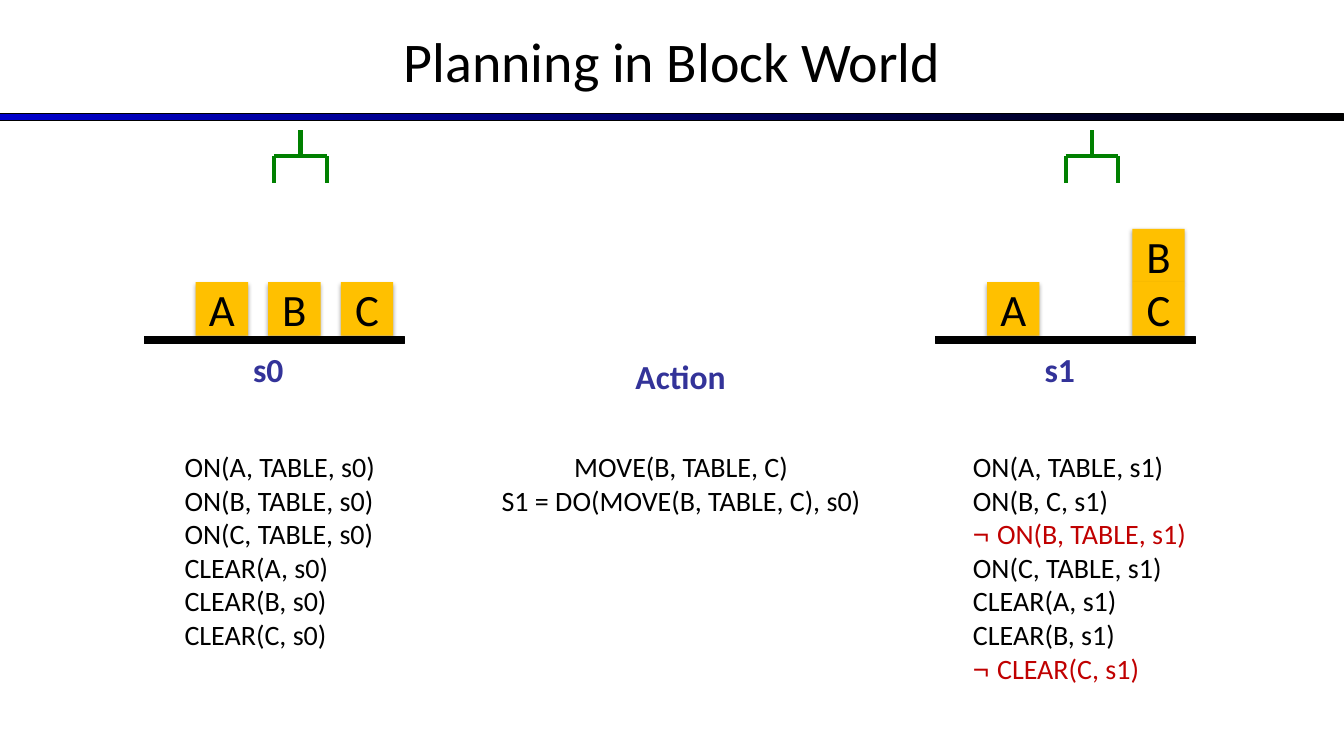
"""Build the block world planning slide with its two states and the action between them."""
from lxml import etree
from pptx import Presentation
from pptx.dml.color import RGBColor as RGB
from pptx.enum.shapes import MSO_CONNECTOR as LINK, MSO_SHAPE as KIND
from pptx.enum.text import MSO_ANCHOR as ANCHOR, PP_ALIGN as ALIGN
from pptx.oxml import parse_xml
from pptx.oxml.ns import nsdecls, qn
from pptx.util import Inches, Pt

BLACK = RGB(0x00, 0x00, 0x00)
BLUE = RGB(0x00, 0x00, 0xCC)
NAVY = RGB(0x33, 0x33, 0x99)
GOLD = RGB(0xFF, 0xC0, 0x00)
GREEN = RGB(0x00, 0x80, 0x00)
RED = RGB(0xC0, 0x00, 0x00)
SHADOW = (
    f'<a:effectLst {nsdecls("a")}><a:outerShdw blurRad="39370" dist="22860" '
    'dir="5400000" rotWithShape="0"><a:srgbClr val="000000">'
    '<a:alpha val="35000"/></a:srgbClr></a:outerShdw></a:effectLst>'
)


def write(shape, lines, size, color=BLACK, align=ALIGN.LEFT, bold=False):
    frame = shape.text_frame
    for i, line in enumerate(lines):
        para = frame.add_paragraph() if i else frame.paragraphs[0]
        para.alignment = align
        font = para.font
        font.name, font.size, font.bold = "Calibri", Pt(size), bold
        font.color.rgb = color
        if line.startswith("¬ "):
            font.color.rgb = RED
            sign = para.add_run()
            sign.text = "¬ "
            sign.font.name = "Arial"
            line = line[2:]
        para.add_run().text = line
    return frame


def box(x, y, w, h):
    shape = slide.shapes.add_textbox(Inches(x), Inches(y), Inches(w), Inches(h))
    shape.text_frame.word_wrap = True
    return shape


deck = Presentation()
deck.slide_width, deck.slide_height = Inches(13.33), Inches(7.5)
slide = deck.slides.add_slide(deck.slide_layouts[6])

rule = slide.shapes.add_shape(KIND.RECTANGLE, 0, Inches(1.13), Inches(13.33), Inches(0.07))
rule.shadow.inherit = False
rule.fill.gradient()
rule.fill.gradient_angle = 0
for stop, color in zip(rule.fill.gradient_stops, (BLUE, BLACK)):
    stop.color.rgb = color
rule.line.color.rgb = BLACK
rule.line.width = Pt(0.75)

title = write(box(0, -0.03, 13.33, 1.25), ["Planning in Block World"], 40, align=ALIGN.CENTER)
title.vertical_anchor = ANCHOR.MIDDLE

SIDE, STEP, FLOOR = 0.53, 0.72, 3.34
states = [
    ("s0", 1.43, [("A", 0, 0), ("B", 1, 0), ("C", 2, 0)]),
    ("s1", 9.28, [("A", 0, 0), ("B", 2, 1), ("C", 2, 0)]),
]
claw = [(1.29, 1.55, 1.81, 1.55), (1.29, 1.55, 1.29, 1.82),
        (1.55, 1.29, 1.55, 1.55), (1.81, 1.55, 1.81, 1.82)]

for name, left, blocks in states:
    scene = slide.shapes.add_group_shape().shapes
    table = scene.add_shape(KIND.RECTANGLE, Inches(left), Inches(FLOOR), Inches(2.58), Inches(0.07))
    table.shadow.inherit = False
    table.fill.solid()
    table.fill.fore_color.rgb = BLACK
    table.line.color.rgb = BLACK
    table.line.width = Pt(0.75)

    for label, col, row in blocks:
        block = scene.add_shape(
            KIND.RECTANGLE, Inches(left + 0.51 + col * STEP),
            Inches(FLOOR - 0.01 - (row + 1) * SIDE), Inches(0.52), Inches(SIDE))
        block.fill.solid()
        block.fill.fore_color.rgb = GOLD
        block.line.fill.background()
        block._element.spPr.append(parse_xml(SHADOW))
        frame = write(block, [label], 32, align=ALIGN.CENTER)
        frame.vertical_anchor = ANCHOR.MIDDLE
        frame.word_wrap = False

    for x1, y1, x2, y2 in claw:
        bar = scene.add_connector(LINK.STRAIGHT, Inches(left + x1), Inches(y1),
                                  Inches(left + x2), Inches(y2))
        bar.line.color.rgb = GREEN
        bar.line.width = Pt(3)
        etree.SubElement(bar._element.spPr, qn("a:effectLst"))

    head = write(box(left, 3.46, 2.58, 0.43), [name], 24, NAVY, bold=True)
    head.margin_left = Inches(1.08)
    head.paragraphs[0].line_spacing = 0.9

action = write(box(5.46, 3.53, 2.58, 0.43), ["Action"], 24, NAVY, ALIGN.CENTER, True)
action.paragraphs[0].line_spacing = 0.9

write(box(4.8, 4.41, 3.91, 0.77),
      ["MOVE(B, TABLE, C)", "S1 = DO(MOVE(B, TABLE, C), s0)"], 20, align=ALIGN.CENTER)

facts = [
    (1.14, 3.66, ["ON(A, TABLE, s0)", "ON(B, TABLE, s0)", "ON(C, TABLE, s0)",
                  "CLEAR(A, s0)", "CLEAR(B, s0)", "CLEAR(C, s0)"]),
    (8.96, 3.03, ["ON(A, TABLE, s1)", "ON(B, C, s1)", "¬ ON(B, TABLE, s1)",
                  "ON(C, TABLE, s1)", "CLEAR(A, s1)", "CLEAR(B, s1)", "¬ CLEAR(C, s1)"]),
]
for left, width, lines in facts:
    frame = write(box(left, 4.41, width, 2.46), lines, 20)
    frame.margin_left = Inches(0.69)

deck.save("out.pptx")
